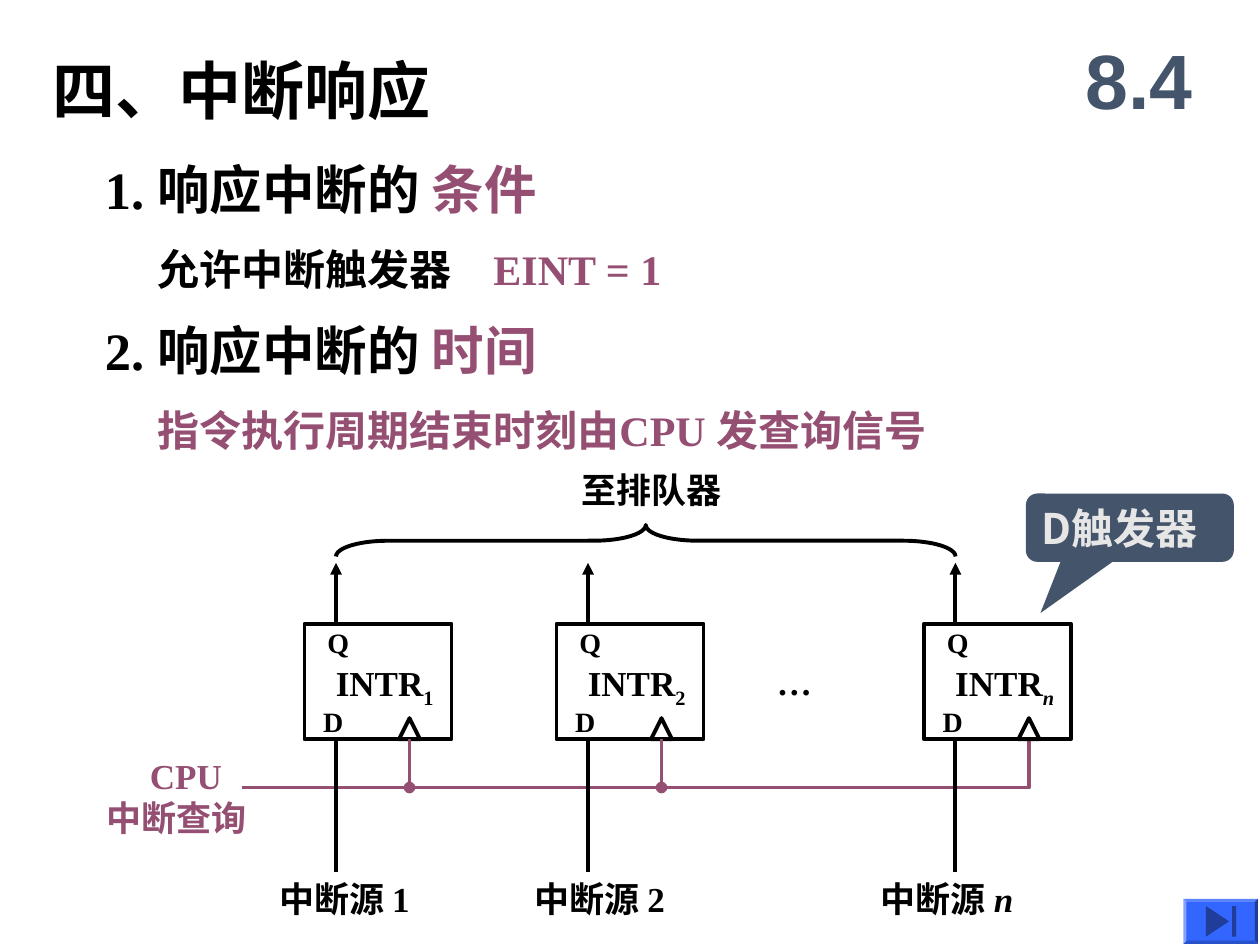
from lxml.etree import SubElement
from pptx import Presentation
from pptx.dml.color import RGBColor
from pptx.enum.shapes import MSO_CONNECTOR, MSO_SHAPE
from pptx.enum.text import MSO_ANCHOR, MSO_AUTO_SIZE, PP_ALIGN
from pptx.oxml.ns import qn
from pptx.util import Inches, Pt

COLS, ROWS = 120, 90  # grid over the slide, twelve cells to the inch
BLACK, PLUM, SLATE, PALE = "000000", "954F72", "44546A", "E7E6E6"
BLUE, NAVY = "3366FF", "1F3D99"
SERIF, SANS, CJK = "Times New Roman", "Arial", "Noto Sans CJK SC"


def u(*cells):
    """Turn grid cells into lengths."""
    return [Inches(round(c / 12, 3)) for c in cells]


def rgb(code):
    return RGBColor.from_string(code)


def add_run(p, text, size=20, color=BLACK, font=SERIF, italic=None, sub=False):
    r = p.add_run()
    r.text = text
    f = r.font
    f.size, f.bold, f.italic, f.name = Pt(size), True, italic, font
    f.color.rgb = rgb(color)
    rPr = r._r.get_or_add_rPr()
    SubElement(rPr, qn("a:ea")).set("typeface", CJK)
    if sub:
        rPr.set("baseline", "-25000")


def set_para(p, align=PP_ALIGN.LEFT, indent=0, height=None):
    pPr = p._p.get_or_add_pPr()
    pPr.set("marL", str(u(indent)[0]))
    pPr.set("indent", "0")
    SubElement(pPr, qn("a:buNone"))
    p.alignment = align
    p.space_before = p.space_after = Pt(0)
    if height:
        p.line_spacing = Pt(height)


def set_frame(tf, anchor=MSO_ANCHOR.TOP, wrap=False, margin=1.2):
    tf.auto_size, tf.word_wrap, tf.vertical_anchor = MSO_AUTO_SIZE.NONE, wrap, anchor
    tf.margin_left, tf.margin_right = u(margin, margin)
    tf.margin_top = tf.margin_bottom = Inches(0.05 if margin else 0)


def add_label(s, box, *runs, **kw):
    """Add a one-line text box; each run is a (text, format) pair."""
    tf = s.shapes.add_textbox(*u(*box)).text_frame
    set_frame(tf, kw.pop("anchor", MSO_ANCHOR.TOP))
    set_para(tf.paragraphs[0], **kw)
    for text, fmt in runs:
        add_run(tf.paragraphs[0], text, **fmt)
    return tf


def add_shape(s, kind, box, fill=None, line=None):
    sp = s.shapes.add_shape(kind, *u(*box))
    sp.shadow.inherit = False
    if fill:
        sp.fill.solid()
        sp.fill.fore_color.rgb = rgb(fill)
    else:
        sp.fill.background()
    if line:
        sp.line.color.rgb, sp.line.width = rgb(line), Pt(2.25)
    else:
        sp.line.fill.background()
    return sp


def add_line(s, start, end, color=BLACK, head=None):
    c = s.shapes.add_connector(MSO_CONNECTOR.STRAIGHT, *u(*start, *end))
    c.line.color.rgb, c.line.width = rgb(color), Pt(2.25)
    if head:
        SubElement(c.line._get_or_add_ln(), qn("a:tailEnd")).set("type", head)
    SubElement(c._element.spPr, qn("a:effectLst"))


def place(ph, box):
    ph.left, ph.top, ph.width, ph.height = u(*box)
    return ph.text_frame


def add_heading(s, box):
    tf = place(s.shapes.title, box)
    set_frame(tf, MSO_ANCHOR.MIDDLE, True, 0)
    set_para(tf.paragraphs[0])
    add_run(tf.paragraphs[0], "四、中断响应", size=36)


def add_points(s, box):
    points = [
        (0, [("1. 响应中断的 ", BLACK), ("条件", PLUM)]),
        (1, [("允许中断触发器　", BLACK), ("EINT = 1", PLUM)]),
        (0, [("2. 响应中断的 ", BLACK), ("时间", PLUM)]),
        (1, [("指令执行周期结束时刻由CPU 发查询信号", PLUM)]),
    ]
    tf = place(s.placeholders[1], box)
    set_frame(tf, wrap=True, margin=0)
    for i, (level, runs) in enumerate(points):
        p = tf.add_paragraph() if i else tf.paragraphs[0]
        set_para(p, indent=5 * level, height=42.5 if level else 49.5)
        for text, color in runs:
            add_run(p, text, size=24 if level else 30, color=color)


def add_flip_flop(s, box, index, shift, bus_y):
    """Draw one D flip-flop with its output, source line and clock input."""
    x, y, w, h = box
    name = dict(italic=index == "n")
    add_line(s, (x + 3, y), (x + 3, y - 5.8), head="triangle")
    add_label(s, (x + 1.8, y + 3, 11.6, 5.8), ("INTR", {}), (index, dict(sub=True, **name)))
    add_shape(s, MSO_SHAPE.RECTANGLE, box, line=BLACK)
    add_label(s, (x + 0.6, y + 7.1, 4.4, 4.4), ("D", dict(size=16)))
    add_label(s, (x + 1, y - 0.4, 4.4, 4.4), ("Q", dict(size=16)))
    add_shape(s, MSO_SHAPE.ISOSCELES_TRIANGLE, (x + 9, y + h - 2, 2, 2), line=BLACK)
    add_line(s, (x + 3, y + h), (x + 3, y + h + 12.6))
    add_label(s, (x - shift, y + h + 12.6, 15.6, 5.3), ("中断源 ", {}), (index, name))
    if index != "n":
        add_line(s, (x + 10, y + h), (x + 10, bus_y), PLUM, "oval")


def add_query_bus(s, left, right, top, bottom):
    (x0, y0), *rest = [u(*pt) for pt in ((left, bottom), (right, bottom), (right, top))]
    bus = s.shapes.build_freeform(x0, y0, 1.0)
    bus.add_line_segments(rest, close=False)
    sp = bus.convert_to_shape()
    sp.shadow.inherit = False
    sp.fill.background()
    sp.line.color.rgb, sp.line.width = rgb(PLUM), Pt(2.25)
    tf = add_label(s, (left - 14, bottom - 3.7, 15.7, 9.2), ("CPU", dict(color=PLUM)), indent=4.1)
    p = tf.add_paragraph()
    set_para(p)
    add_run(p, "中断查询", color=PLUM)


def add_brace(s, box):
    """Draw a brace that fills the box and points up."""
    x, y, w, h = box
    turned = (x + (w - h) / 2, y + (h - w) / 2, h, w)
    sp = add_shape(s, MSO_SHAPE.LEFT_BRACE, turned, line=BLACK)
    sp.rotation = 90
    sp.adjustments[0] = 1.65
    add_label(s, (x + w / 2 - 7.3, y - 6, 15.7, 5.3), ("至排队器", {}))


def add_circuit(s, top):
    bus_y = top + 15.6
    add_query_bus(s, 23, 98, top + 11, bus_y)
    for x, index, shift in ((29, "1", 3.6), (53, "2", 3.3), (88, "n", 5.3)):
        add_flip_flop(s, (x, top, 14, 11), index, shift, bus_y)
    add_label(s, (72.8, top + 2.9, 5.8, 5.3), ("…", {}))
    add_brace(s, (32, top - 9.4, 59, 3))


def add_callout(s, box):
    sp = add_shape(s, MSO_SHAPE.ROUNDED_RECTANGULAR_CALLOUT, box, fill=SLATE)
    sp.adjustments[0], sp.adjustments[1] = -0.43, 1.25
    set_frame(sp.text_frame, MSO_ANCHOR.MIDDLE)
    p = sp.text_frame.paragraphs[0]
    set_para(p)
    add_run(p, "D触发器", size=24, color=PALE, font=CJK)


def add_end_button(s, box):
    x, y, w, h = box
    add_shape(s, MSO_SHAPE.BEVEL, box, fill=BLUE).adjustments[0] = 0.07
    arrow = (x + w / 2 - 1.75, y + h / 2 - 1.1, 2.9, 2.2)
    add_shape(s, MSO_SHAPE.ISOSCELES_TRIANGLE, arrow, fill=NAVY).rotation = 90
    add_shape(s, MSO_SHAPE.RECTANGLE, (x + w / 2 + 1.1, y + h / 2 - 1.45, 0.4, 2.9), fill=NAVY)


def main():
    prs = Presentation()
    prs.slide_width, prs.slide_height = u(COLS, ROWS)
    s = prs.slides.add_slide(prs.slide_layouts[1])
    add_heading(s, (5, 5, 83, 7))
    add_points(s, (10, 12.7, 93, 31))
    add_circuit(s, 59.4)
    add_label(s, (101, 2, 15, 11), ("8.4", dict(size=44, color=SLATE, font=SANS)),
              anchor=MSO_ANCHOR.MIDDLE, align=PP_ALIGN.CENTER)
    add_callout(s, (97.7, 47, 19.8, 6.5))
    add_end_button(s, (112.7, 85.6, 7.1, 4.3))
    prs.save("out.pptx")


if __name__ == "__main__":
    main()
